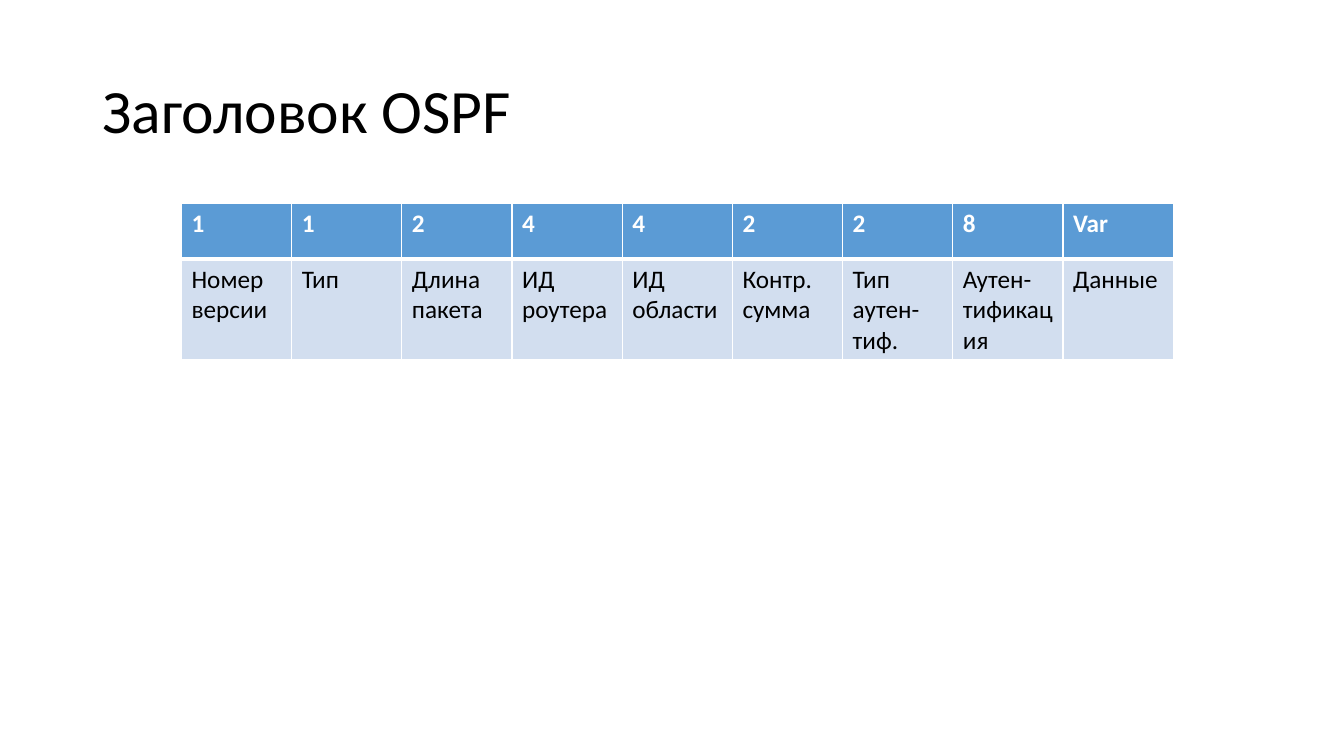
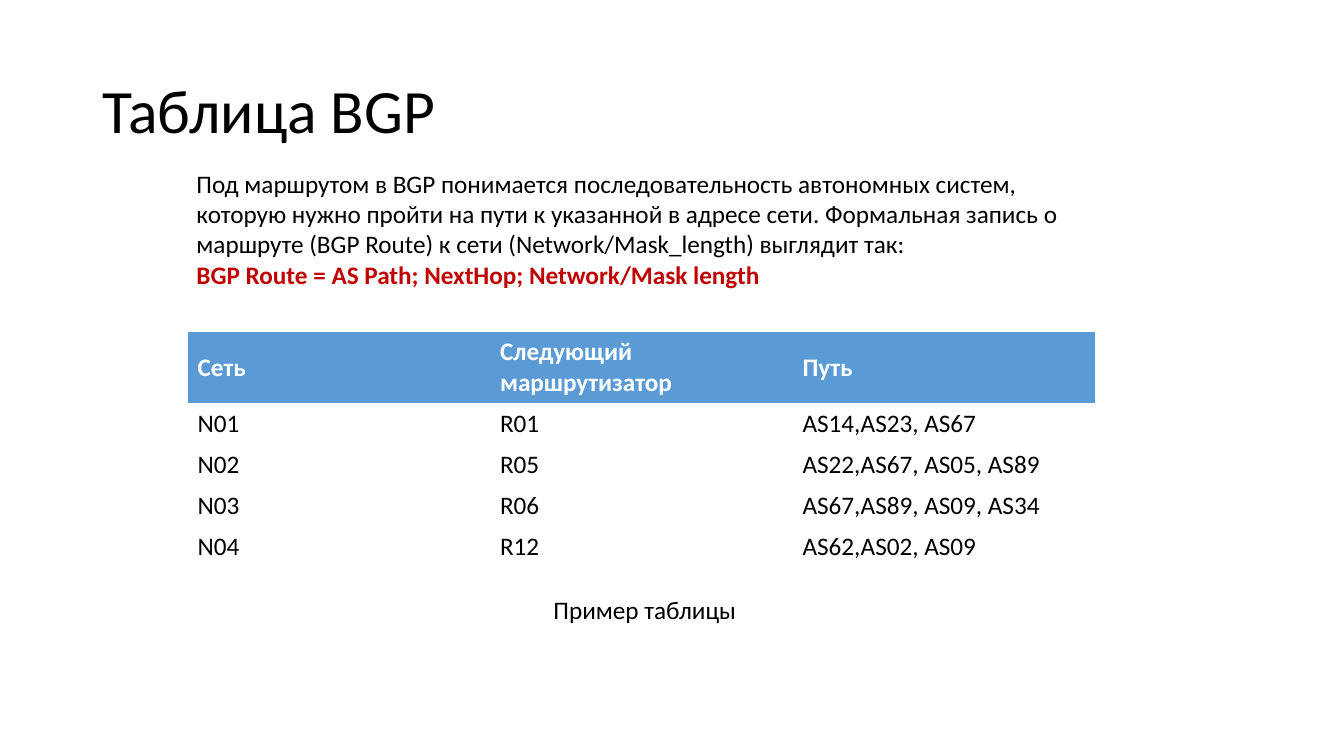
import pptx
import pptx.util
import pptx.dml.color
import pptx.enum.text
import pptx.oxml.ns
import lxml.etree

COLORS = {
    "text": "000000",
    "paper": "FFFFFF",
    "header": "5B9BD5",
    "band": "D2DEEF",
    "accent": "C00000",
}
FONT = "Calibri"
BODY_SIZE = 18
TITLE_SIZE = 44
MIDDLE = pptx.enum.text.MSO_ANCHOR.MIDDLE
TOP = pptx.enum.text.MSO_ANCHOR.TOP


def grid(count):
    """Length of a number of grid columns or rows, ten to the inch."""
    return pptx.util.Inches(count / 10)


def color(name):
    return pptx.dml.color.RGBColor.from_string(COLORS[name])


def write(para, text, size=BODY_SIZE, ink="text", bold=False, spacing=None):
    """Add formatted text to a paragraph."""
    span = para.add_run()
    span.text = text
    span.font.name = FONT
    span.font.size = pptx.util.Pt(size)
    span.font.bold = bold
    span.font.color.rgb = color(ink)
    if spacing:
        para.line_spacing = spacing


def fill_frame(frame, lines, **style):
    """Write one paragraph per line; a line is text or (text, format)."""
    for index, line in enumerate(lines):
        text, extra = line if isinstance(line, tuple) else (line, {})
        para = frame.add_paragraph() if index else frame.paragraphs[0]
        write(para, text, **{**style, **extra})


def set_borders(cell, widths):
    """Set the left, right, top and bottom lines; width 0 hides a line."""
    properties = cell._tc.get_or_add_tcPr()
    for index, (side, width) in enumerate(zip("LRTB", widths)):
        line = lxml.etree.Element(pptx.oxml.ns.qn(f"a:ln{side}"))
        if width:
            line.set("w", str(pptx.util.Pt(width)))
            fill = lxml.etree.SubElement(line, pptx.oxml.ns.qn("a:solidFill"))
            tint = lxml.etree.SubElement(fill, pptx.oxml.ns.qn("a:srgbClr"))
            tint.set("val", COLORS["paper"])
        else:
            lxml.etree.SubElement(line, pptx.oxml.ns.qn("a:noFill"))
        properties.insert(index, line)


class SlideBuilder:
    """Holds the deck, its style and the current slide."""

    def __init__(self):
        self.deck = pptx.Presentation()
        self.deck.slide_width = pptx.util.Inches(13.33)
        self.deck.slide_height = pptx.util.Inches(7.5)
        self.page = None

    def new_page(self, title):
        self.page = self.deck.slides.add_slide(self.deck.slide_layouts[6])
        self.text((9.2, 4, 115, 14.5), [title], anchor=MIDDLE,
                  size=TITLE_SIZE, spacing=0.9)

    def text(self, area, lines, anchor=TOP, wrap=True, **style):
        box = self.page.shapes.add_textbox(*map(grid, area))
        box.text_frame.word_wrap = wrap
        box.text_frame.vertical_anchor = anchor
        fill_frame(box.text_frame, lines, **style)

    def table(self, left, top, column_width, row_heights, rows,
              body_fill, anchor=TOP, line=0, header_line=0):
        """Rows of cell texts, the first row being the header."""
        column_count = len(rows[0])
        table = self.page.shapes.add_table(
            len(rows), column_count, grid(left), grid(top),
            grid(column_width * column_count), grid(sum(row_heights))).table
        table.horz_banding = False
        for column in table.columns:
            column.width = grid(column_width)
        for row_index, texts in enumerate(rows):
            is_header = row_index == 0
            table.rows[row_index].height = grid(row_heights[row_index])
            above = header_line if row_index == 1 else line
            below = header_line if is_header else line
            for column_index, text in enumerate(texts):
                cell = table.cell(row_index, column_index)
                cell.vertical_anchor = anchor
                cell.fill.solid()
                cell.fill.fore_color.rgb = color("header" if is_header else body_fill)
                set_borders(cell, (line, line, above, below))
                fill_frame(cell.text_frame, text.split("\n"), bold=is_header,
                           ink="paper" if is_header else "text")


def main():
    builder = SlideBuilder()

    # OSPF header: field sizes above field names
    builder.new_page("Заголовок OSPF")
    fields = [
        ("1", "Номер версии"), ("1", "Тип"), ("2", "Длина пакета"),
        ("4", "ИД роутера"), ("4", "ИД области"), ("2", "Контр. сумма"),
        ("2", "Тип аутен-\nтиф."), ("8", "Аутен-тификация"), ("Var", "Данные"),
    ]
    builder.table(18, 20.2, 10.93, (5.5, 10), list(zip(*fields)),
                  body_fill="band", line=1, header_line=3)

    # BGP table: explanation, routes, caption
    builder.new_page("Таблица BGP")
    routes = [
        ("Сеть", "Следующий маршрутизатор", "Путь"),
        ("N01", "R01", "AS14,AS23, AS67"),
        ("N02", "R05", "AS22,AS67, AS05, AS89"),
        ("N03", "R06", "AS67,AS89, AS09, AS34"),
        ("N04", "R12", "AS62,AS02, AS09"),
    ]
    builder.table(18.6, 32.9, 30, (7.1, *[4.06] * 4), routes,
                  body_fill="paper", anchor=MIDDLE)
    builder.text((18.5, 16.2, 90.9, 13.1), [
        "Под маршрутом в BGP понимается последовательность автономных систем, "
        "которую нужно пройти на пути к указанной в адресе сети. Формальная "
        "запись о маршруте (BGP Route) к сети (Network/Mask_length) выглядит так:",
        ("BGP Route = AS Path; NextHop; Network/Mask length",
         {"ink": "accent", "bold": True}),
    ])
    builder.text((53.9, 58.5, 20.1, 4), ["Пример таблицы"], wrap=False)

    builder.deck.save("out.pptx")


if __name__ == "__main__":
    main()
